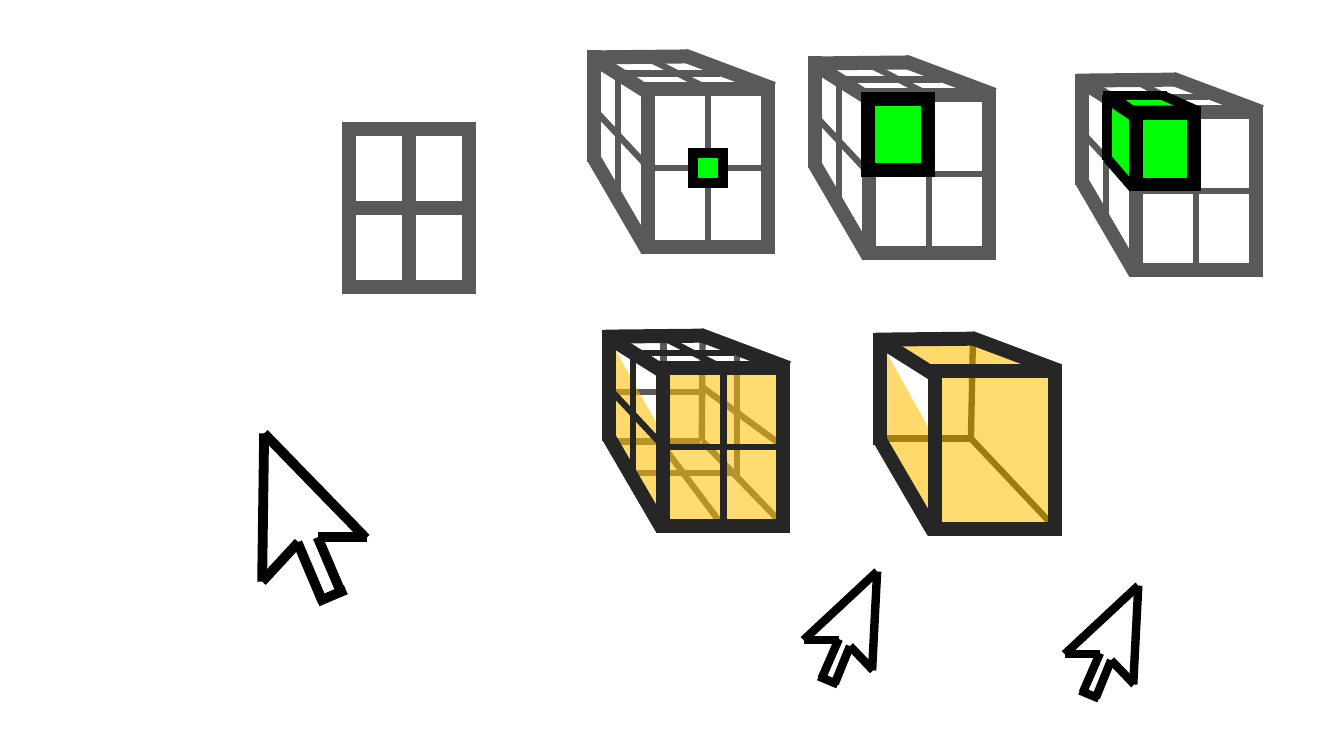
from lxml import etree
from pptx import Presentation
from pptx.dml.color import RGBColor
from pptx.enum import shapes
from pptx.oxml import ns
from pptx.util import Inches, Pt

GRAY = RGBColor(0x59, 0x59, 0x59)
DARK = RGBColor(0x26, 0x26, 0x26)
BLACK = RGBColor(0, 0, 0)
GREEN = RGBColor(0x01, 0xFD, 0x07)
GOLD = RGBColor(0xFF, 0xC0, 0x00)
BLUE = RGBColor(0x43, 0x73, 0x9E)

FRONT = (1.19, 1.57)
THICK, THIN = 10, 4.5
FLAT_SQUARE = (3.46, 1.28)

CUBE_EDGES = [
    (-.54, -.3, 0, .04), (-.54, -.38, -.54, .73), (-.54, .69, -.01, 1.6),
    (-.58, -.31, .39, -.32), (.36, -.33, 1.24, 0),
]
CUBE_GRID = [
    (-.3, -.15, -.3, 1.05), (-.56, .18, 0, .78),
    (-.02, -.31, .59, 0), (-.28, -.15, .71, -.15),
]

DOT_CUBE = (6.43, .88)
FACE_CUBE = (8.62, .94)
BLOCK_CUBE = (11.27, 1.11)
GRID_CUBE = (6.58, 3.65)
SOLID_CUBE = (9.27, 3.68)

GRID_CUBE_HIDDEN = [
    (6.94, 4.38, 6.04, 4.38), (6.96, 3.89, 6.06, 3.89), (7.28, 4.69, 6.3, 4.69),
    (6.58, 4.43, 6.58, 3.32), (7.31, 3.53, 7.31, 4.72), (6.95, 3.83, 7.77, 4.43),
    (7.17, 5.22, 6.58, 4.43), (6.96, 4.38, 6.97, 3.29), (7.78, 5.22, 6.97, 4.38),
]
SOLID_CUBE_HIDDEN = [
    (9.63, 4.34, 9.65, 3.36), (9.62, 4.35, 8.74, 4.35), (10.45, 5.22, 9.62, 4.34),
]
BLOCK_EDGES = [
    (10.98, 1.57, 11.24, 1.87, 6.75), (10.98, .94, 10.98, 1.59, 6.75),
    (11, .96, 11.27, 1.15, 9.75), (10.94, .95, 11.57, .95, 6.75),
    (11.54, .95, 11.88, 1.1, 6.75),
]

LARGE_CURSOR = [
    (.53, 1.03, 1.02, 1.03), (0, 0, -.02, 1.47), (-.02, 1.47, .34, 1.08),
    (0, 0, 1.01, 1.04), (.53, 1.03, .76, 1.57), (.33, 1.08, .58, 1.67),
    (.53, 1.67, .81, 1.55),
]
SMALL_CURSOR = [
    (-.27, .74, -.04, .98), (0, 0, -.73, .68), (-.73, .68, -.38, .68),
    (0, 0, -.05, .98), (-.27, .74, -.42, 1.11), (-.38, .67, -.55, 1.06),
    (-.58, 1.04, -.39, 1.12),
]
CURSORS = [
    ((2.62, 4.3), LARGE_CURSOR, 7),
    ((8.7, 5.67), SMALL_CURSOR, 6),
    ((11.29, 5.81), SMALL_CURSOR, 6),
]

presentation = Presentation()
presentation.slide_width = Inches(13.33)
presentation.slide_height = Inches(7.5)
slide = presentation.slides.add_slide(presentation.slide_layouts[6])


def style_line(line, color, width):
    line.color.rgb = color
    line.width = Pt(width)
    miter = etree.SubElement(line._get_or_add_ln(), ns.qn("a:miter"))
    miter.set("lim", "800000")


def add_line(points, color, width, parent=slide):
    connector = parent.shapes.add_connector(
        shapes.MSO_CONNECTOR.STRAIGHT, *[Inches(value) for value in points])
    style_line(connector.line, color, width)
    etree.SubElement(connector._element.spPr, ns.qn("a:effectLst"))
    return connector


def add_area(kind, box, fill=None, alpha=None, line=None, width=1):
    shape = slide.shapes.add_shape(kind, *[Inches(value) for value in box])
    shape.shadow.inherit = False
    if fill is None:
        shape.fill.background()
    else:
        shape.fill.solid()
        shape.fill.fore_color.rgb = fill
    if alpha:
        color = shape._element.spPr.find(".//" + ns.qn("a:srgbClr"))
        etree.SubElement(color, ns.qn("a:alpha")).set("val", str(alpha * 1000))
    if line is None:
        shape.line.fill.background()
    else:
        style_line(shape.line, line, width)
    return shape


def add_square(box, **style):
    return add_area(shapes.MSO_SHAPE.RECTANGLE, box, **style)


def add_slanted_face(box, slant, upright, **style):
    face = add_area(shapes.MSO_SHAPE.PARALLELOGRAM, box, **style)
    face.adjustments[0] = slant
    if upright:
        face.rotation = 270
    else:
        face._element.spPr.find(ns.qn("a:xfrm")).set("flipV", "1")


def add_cross(square, color, width):
    for begin_site, end_site in ((0, 2), (3, 1)):
        connector = add_line((0, 0, 0, 0), color, width)
        connector.begin_connect(square, begin_site)
        connector.end_connect(square, end_site)


def shift(points, origin):
    left, top = origin
    x1, y1, x2, y2 = points
    return left + x1, top + y1, left + x2, top + y2


def add_cube(origin, color, grid=True, **style):
    front = add_square(origin + FRONT, line=color, width=THICK, **style)
    if grid:
        add_cross(front, color, THIN)
    for edge in CUBE_EDGES:
        add_line(shift(edge, origin), color, THICK)
    for division in CUBE_GRID if grid else []:
        add_line(shift(division, origin), color, THIN)


flat_square = add_square(FLAT_SQUARE + FRONT, line=GRAY, width=THICK)
add_cross(flat_square, GRAY, THICK)

add_cube(DOT_CUBE, GRAY)
add_square((6.87, 1.52, .3, .3), fill=GREEN, line=BLACK, width=7.25)

add_cube(FACE_CUBE, GRAY)
add_square((8.61, .98, .59, .71), fill=GREEN, line=BLACK, width=10)

add_slanted_face((10.63, 1.22, .94, .27), 1.105, True, fill=GREEN, line=BLUE)
add_slanted_face((11.03, .93, .74, .2), .994, False, fill=GREEN, line=BLUE)
add_cube(BLOCK_CUBE, GRAY)
add_square((11.27, 1.12, .57, .71), fill=GREEN, line=BLACK, width=9.75)
for *points, width in BLOCK_EDGES:
    add_line(points, BLACK, width)

for points in GRID_CUBE_HIDDEN:
    add_line(points, GRAY, THIN)
add_slanted_face((5.34, 4.07, 1.89, .48), 1.789, True, fill=GOLD, alpha=58)
add_cube(GRID_CUBE, DARK, fill=GOLD, alpha=56)

for points in SOLID_CUBE_HIDDEN:
    add_line(points, DARK, THIN)
add_slanted_face((8.72, 3.38, 1.71, .34), 1.632, False, fill=GOLD, alpha=58)
add_slanted_face((8.03, 4.1, 1.89, .48), 1.789, True, fill=GOLD, alpha=58)
add_cube(SOLID_CUBE, DARK, grid=False, fill=GOLD, alpha=56)

for tip, strokes, width in CURSORS:
    cursor = slide.shapes.add_group_shape()
    for stroke in strokes:
        add_line(shift(stroke, tip), BLACK, width, parent=cursor)

presentation.save("out.pptx")
